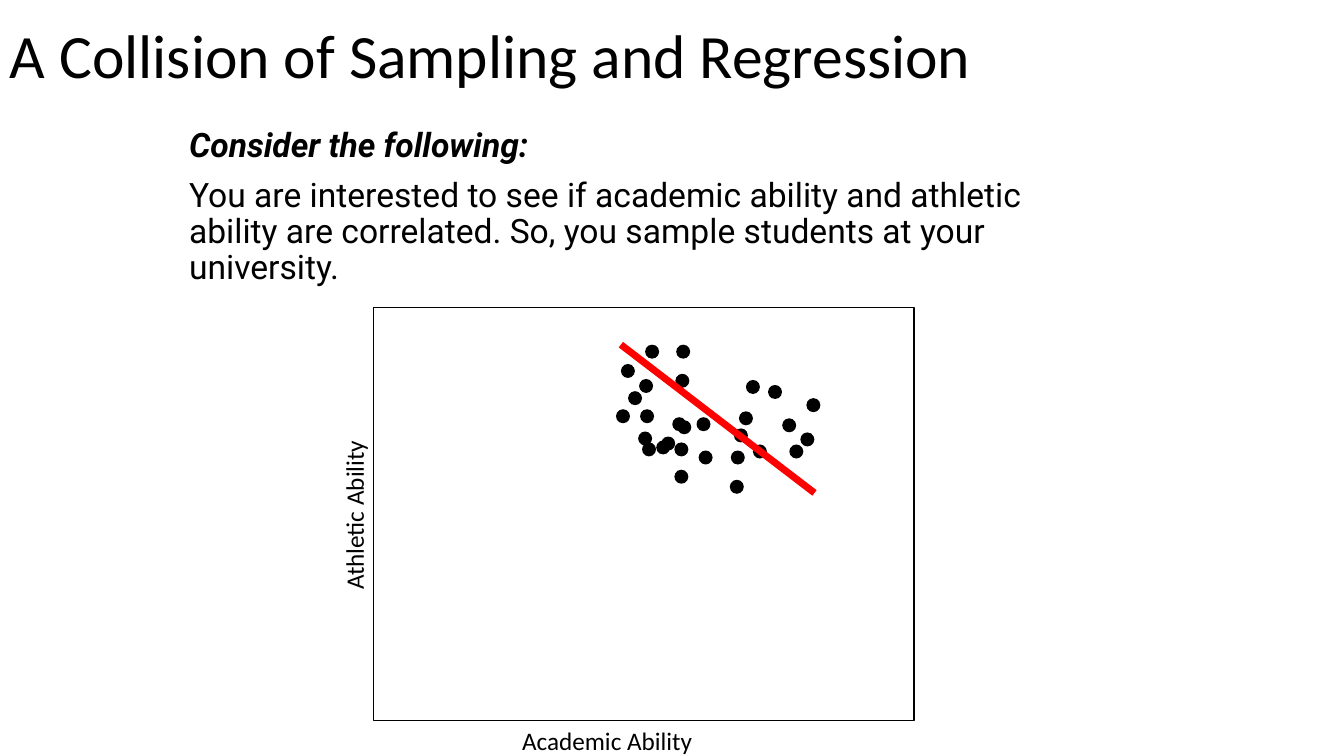
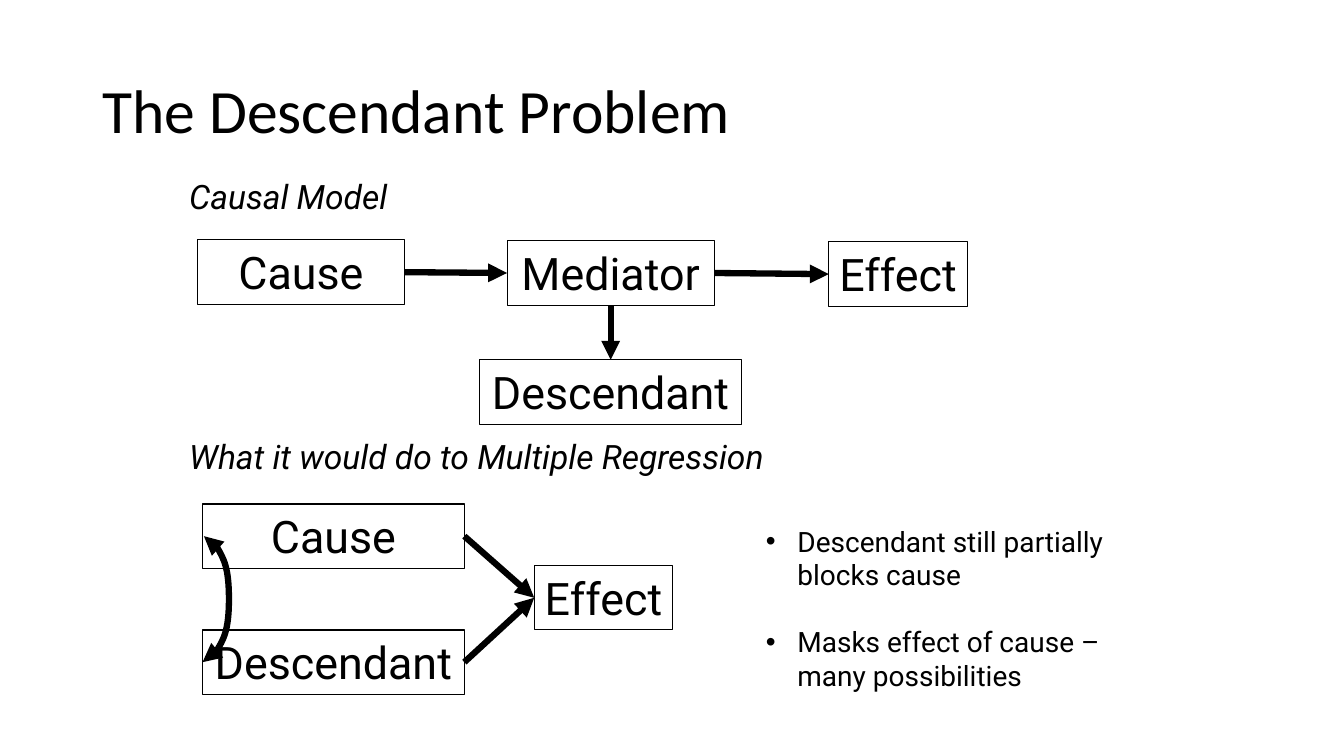
"""Build two slides on sampling, regression and the descendant problem."""
from dataclasses import dataclass

import lxml.etree
import pptx
import pptx.dml.color
import pptx.enum.shapes
import pptx.enum.text
import pptx.oxml.ns
import pptx.presentation
import pptx.shapes.autoshape
import pptx.shapes.connector
import pptx.slide
import pptx.text.text
import pptx.util

COLOURS = {"ink": "000000", "trend": "FF0000"}
HEADING_FONT = "Calibri"
BODY_FONT = "Roboto"
BODY_LEFT = 128
BODY_SIZE = 24
BOX_HEIGHT = 46
DOT_SIZE = 10
ARROW_WEIGHT = 4.5
BULLET_INDENT = 22.5
TOP, LEFT, BOTTOM, RIGHT = range(4)

Pt = pptx.util.Pt
SHAPES = pptx.enum.shapes.MSO_SHAPE
CONNECTORS = pptx.enum.shapes.MSO_CONNECTOR
ANCHORS = pptx.enum.text.MSO_ANCHOR


@dataclass(frozen=True)
class Area:
    left: float
    top: float
    width: float
    height: float

    def lengths(self) -> list[int]:
        return [Pt(value) for value in (self.left, self.top, self.width, self.height)]


@dataclass(frozen=True)
class Style:
    size: float
    font: str = BODY_FONT
    bold: bool = False
    italic: bool = False


@dataclass(frozen=True)
class Node:
    key: str
    text: str
    left: float
    top: float
    width: float


@dataclass(frozen=True)
class Arrow:
    start: str
    start_side: int
    end: str
    end_side: int


TITLE = Style(44, HEADING_FONT)
AXIS = Style(18, HEADING_FONT)
BODY = Style(BODY_SIZE)
LEAD = Style(BODY_SIZE, bold=True, italic=True)
CAPTION = Style(BODY_SIZE, italic=True)
NODE = Style(32)
BULLET = Style(20)

PLOT = Area(267, 219.6, 386, 295.2)
DOTS = [
    (497.5, 298), (481.7, 335.5), (472.3, 311.8), (522, 321.8), (499, 321.8),
    (521.3, 342.7), (480.2, 298), (524.2, 306), (455.8, 308.2), (527.8, 293.8),
    (537.8, 317.5), (558.7, 298.8), (548.6, 275), (576, 284.4), (571.7, 308.9),
    (532.8, 271.4), (563.8, 317.5), (457.2, 292.3), (481.7, 316), (458.6, 316),
    (440, 292.3), (483.8, 300.2), (468.7, 314.6), (443.5, 260), (483, 246.2),
    (460.8, 246.2), (456.5, 270.7), (482.4, 267), (448.6, 279.4),
]
NODES = [
    Node("cause", "Cause", 141, 171.4, 148),
    Node("mediator", "Mediator", 362.2, 172, 148),
    Node("effect", "Effect", 592, 172.8, 99),
    Node("descendant", "Descendant", 342.7, 257, 187),
    Node("regressed cause", "Cause", 144.7, 360, 187),
    Node("regressed descendant", "Descendant", 144.7, 450, 187),
    Node("regressed effect", "Effect", 381.6, 404, 99),
]
ARROWS = [
    Arrow("cause", RIGHT, "mediator", LEFT),
    Arrow("mediator", RIGHT, "effect", LEFT),
    Arrow("mediator", BOTTOM, "descendant", TOP),
    Arrow("regressed cause", RIGHT, "regressed effect", LEFT),
    Arrow("regressed descendant", RIGHT, "regressed effect", LEFT),
]


def colour(name: str) -> pptx.dml.color.RGBColor:
    """Look up a named colour."""
    return pptx.dml.color.RGBColor.from_string(COLOURS[name])


def add_element(parent: lxml.etree._Element, tag: str, **attributes: str) -> None:
    """Append a drawing element to its parent."""
    lxml.etree.SubElement(parent, pptx.oxml.ns.qn(tag), **attributes)


def format_paragraph(paragraph: pptx.text.text._Paragraph, style: Style) -> None:
    """Apply a text style to every run of a paragraph."""
    for run in paragraph.runs:
        run.font.name = style.font
        run.font.size = Pt(style.size)
        run.font.bold = style.bold
        run.font.italic = style.italic
        run.font.color.rgb = colour("ink")


def add_text(shapes, area: Area, text: str, *styles: Style,
             wrap: bool = True) -> pptx.shapes.autoshape.Shape:
    """Add a text box, with one style for each paragraph."""
    shape = shapes.add_textbox(*area.lengths())
    shape.text_frame.word_wrap = wrap
    shape.text_frame.text = text
    for paragraph, style in zip(shape.text_frame.paragraphs, styles):
        format_paragraph(paragraph, style)
    return shape


def add_title(slide: pptx.slide.Slide, text: str, left: float, top: float,
              height: float) -> None:
    """Add a slide title."""
    shape = add_text(slide.shapes, Area(left, top, 828, height), text, TITLE)
    shape.text_frame.vertical_anchor = ANCHORS.MIDDLE
    shape.text_frame.paragraphs[0].line_spacing = 0.9


def add_outline(shapes, area: Area, weight: float) -> pptx.shapes.autoshape.Shape:
    """Add an unfilled rectangle with a thin outline."""
    shape = shapes.add_shape(SHAPES.RECTANGLE, *area.lengths())
    shape.shadow.inherit = False
    shape.fill.background()
    shape.line.color.rgb = colour("ink")
    shape.line.width = Pt(weight)
    return shape


def add_dot(slide: pptx.slide.Slide, left: float, top: float) -> None:
    """Add one observation to the scatter."""
    area = Area(left, top, DOT_SIZE, DOT_SIZE)
    shape = slide.shapes.add_shape(SHAPES.OVAL, *area.lengths())
    shape.shadow.inherit = False
    shape.fill.solid()
    shape.fill.fore_color.rgb = colour("ink")
    shape.line.fill.background()


def add_node(slide: pptx.slide.Slide, node: Node) -> pptx.shapes.autoshape.Shape:
    """Add one labelled variable of a causal diagram."""
    shape = add_outline(slide.shapes, Area(node.left, node.top, node.width, BOX_HEIGHT), 0.75)
    shape.text_frame.word_wrap = False
    shape.text_frame.vertical_anchor = ANCHORS.TOP
    shape.text_frame.text = node.text
    paragraph = shape.text_frame.paragraphs[0]
    paragraph.alignment = pptx.enum.text.PP_ALIGN.CENTER
    format_paragraph(paragraph, NODE)
    return shape


def style_connector(connector: pptx.shapes.connector.Connector, name: str,
                    weight: float, *heads: str) -> None:
    """Set line colour, weight and arrowheads, and drop the shadow."""
    connector.line.color.rgb = colour(name)
    connector.line.width = Pt(weight)
    properties = connector._element.spPr
    line = properties.find(pptx.oxml.ns.qn("a:ln"))
    for head in heads:
        add_element(line, head, type="triangle")
    add_element(properties, "a:effectLst")


def join_nodes(slide: pptx.slide.Slide, nodes: dict[str, pptx.shapes.autoshape.Shape],
               arrow: Arrow, kind=CONNECTORS.STRAIGHT) -> pptx.shapes.connector.Connector:
    """Add a connector attached to two nodes."""
    connector = slide.shapes.add_connector(kind, 0, 0, 0, 0)
    connector.begin_connect(nodes[arrow.start], arrow.start_side)
    connector.end_connect(nodes[arrow.end], arrow.end_side)
    return connector


def add_correlation(slide: pptx.slide.Slide,
                    nodes: dict[str, pptx.shapes.autoshape.Shape]) -> None:
    """Add the two-headed curve on the left of the predictors."""
    arrow = Arrow("regressed cause", LEFT, "regressed descendant", LEFT)
    connector = join_nodes(slide, nodes, arrow, CONNECTORS.CURVE)
    connector.width = Pt(1)
    adjustments = connector._element.find(".//" + pptx.oxml.ns.qn("a:avLst"))
    add_element(adjustments, "a:gd", name="adj1", fmla="val -1800000")
    style_connector(connector, "ink", ARROW_WEIGHT, "a:headEnd", "a:tailEnd")


def add_bullets(slide: pptx.slide.Slide, area: Area, *lines: str) -> None:
    """Add a bulleted list."""
    shape = add_text(slide.shapes, area, "\n".join(lines), *[BULLET] * len(lines))
    for index, paragraph in enumerate(shape.text_frame.paragraphs):
        if index:
            paragraph.space_before = Pt(24)
        properties = paragraph._p.get_or_add_pPr()
        properties.set("marL", str(Pt(BULLET_INDENT)))
        properties.set("indent", str(-Pt(BULLET_INDENT)))
        add_element(properties, "a:buFont", typeface="Arial")
        add_element(properties, "a:buChar", char="•")


def add_slide(presentation: pptx.presentation.Presentation) -> pptx.slide.Slide:
    """Add a blank slide."""
    return presentation.slides.add_slide(presentation.slide_layouts[6])


def build_collision(presentation: pptx.presentation.Presentation) -> None:
    """Build the slide on sampling and regression."""
    slide = add_slide(presentation)
    add_title(slide, "A Collision of Sampling and Regression", 0, 0, 83)
    plot = slide.shapes.add_group_shape()
    add_outline(plot.shapes, PLOT, 1)
    add_text(plot.shapes, Area(365.8, 514.8, 137.5, 25.2), "Academic Ability", AXIS, wrap=False)
    label = add_text(plot.shapes, Area(191.5, 352.8, 122.4, 28.8), "Athletic Ability", AXIS,
                     wrap=False)
    label.rotation = 270
    for left, top in DOTS:
        add_dot(slide, left, top)
    body = add_text(
        slide.shapes, Area(BODY_LEFT, 88, 648, 125),
        "Consider the following:\n"
        "You are interested to see if academic ability and athletic ability are correlated. "
        "So, you sample students at your university.", LEAD, BODY)
    for paragraph in body.text_frame.paragraphs:
        paragraph.line_spacing = 0.9
    body.text_frame.paragraphs[1].space_before = Pt(10)
    trend = slide.shapes.add_connector(
        CONNECTORS.STRAIGHT, Pt(443.5), Pt(246.2), Pt(581.8), Pt(352.1))
    style_connector(trend, "trend", 5)


def build_descendant(presentation: pptx.presentation.Presentation) -> None:
    """Build the slide on the descendant problem."""
    slide = add_slide(presentation)
    add_title(slide, "The Descendant Problem", 66, 28.8, 104.4)
    add_text(slide.shapes, Area(BODY_LEFT, 122.4, 168, 36), "Causal Model", CAPTION, wrap=False)
    add_text(slide.shapes, Area(BODY_LEFT, 308, 450, 36),
             "What it would do to Multiple Regression", CAPTION, wrap=False)
    nodes = {node.key: add_node(slide, node) for node in NODES}
    for arrow in ARROWS:
        style_connector(join_nodes(slide, nodes, arrow), "ink", ARROW_WEIGHT, "a:tailEnd")
    add_correlation(slide, nodes)
    add_bullets(slide, Area(540, 370.8, 300, 128),
                "Descendant still partially blocks cause",
                "Masks effect of cause – many possibilities")


def main() -> None:
    """Build and save the presentation."""
    presentation = pptx.Presentation()
    presentation.slide_width = Pt(960)
    presentation.slide_height = Pt(540)
    build_collision(presentation)
    build_descendant(presentation)
    presentation.save("out.pptx")


if __name__ == "__main__":
    main()
